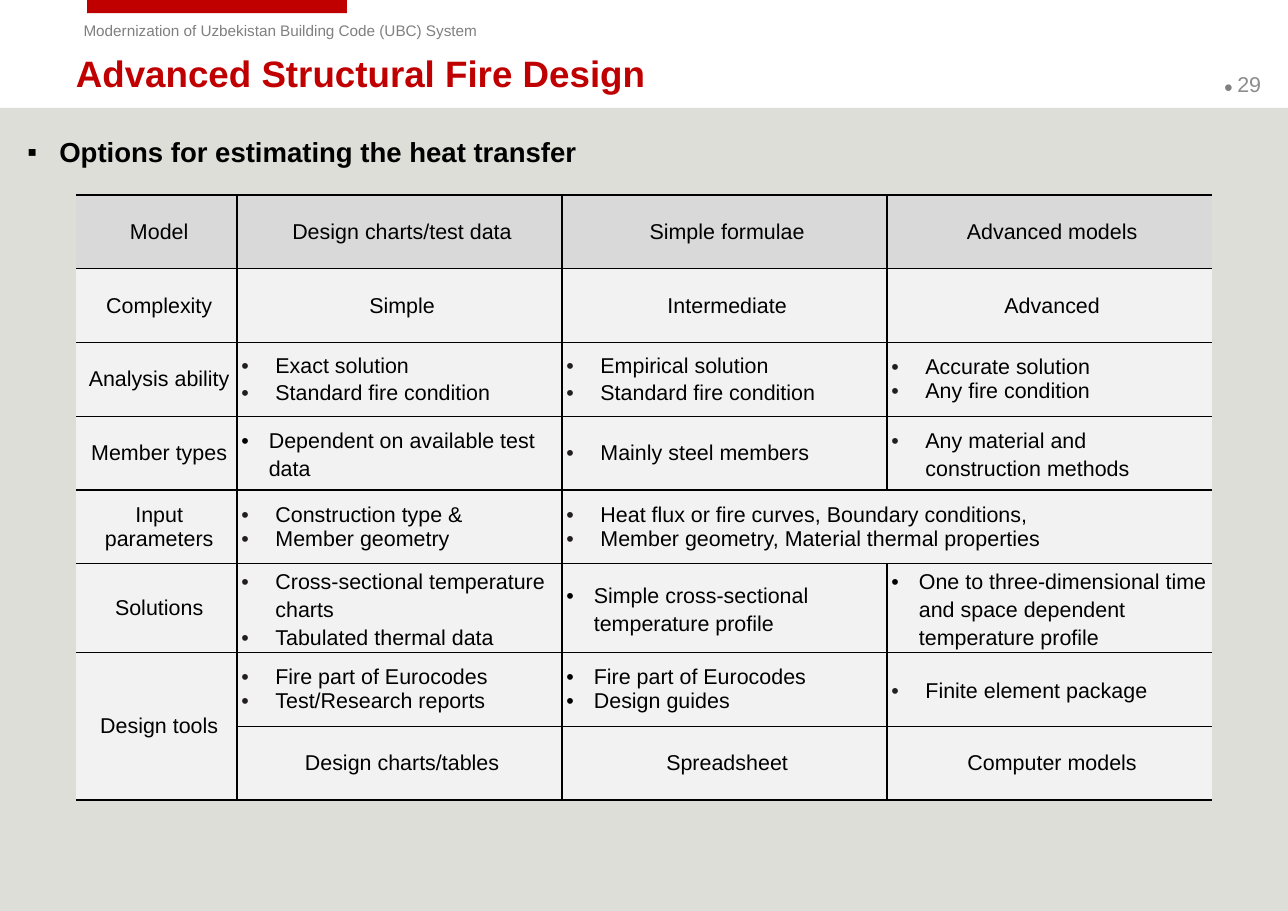
"""Builds the slide on options for estimating heat transfer in structural fire design."""
from dataclasses import dataclass
from typing import NamedTuple

import lxml.etree
import pptx
import pptx.dml.color
import pptx.enum.shapes
import pptx.enum.text
import pptx.oxml.ns
import pptx.util

Inches, Pt = pptx.util.Inches, pptx.util.Pt
qn = pptx.oxml.ns.qn
PP_ALIGN = pptx.enum.text.PP_ALIGN
MIDDLE = pptx.enum.text.MSO_ANCHOR.MIDDLE


@dataclass(frozen=True)
class Theme:
    font: str = "Arial"
    red: str = "C00000"
    black: str = "000000"
    grey: str = "808080"
    number: str = "8C8C8C"
    panel: str = "DEDED8"
    head_fill: str = "D9D9D9"
    cell_fill: str = "F2F2F2"
    soft_bullet: str = "231F20"
    title_pt: int = 24
    topic_pt: int = 18
    cell_pt: int = 14
    small_pt: int = 10
    rule_pt: int = 1


class Bullets(NamedTuple):
    lines: list
    spacing: tuple = (1, 1)
    indent: float = 0.31
    colour: str = Theme.soft_bullet


def narrow(lines, spacing=(1, 1)):
    return Bullets(lines, spacing, 0.25, Theme.black)


T = Theme()
HEADER = "Modernization of Uzbekistan Building Code (UBC) System"
TITLE = "Advanced Structural Fire Design"
TOPIC = "Options for estimating the heat transfer"
PAGE = "29"
LOOSE, MIXED = (1.15, 1.15), (1, 1.15)
ROWS = [
    ["Model", "Design charts/test data", "Simple formulae", "Advanced models"],
    ["Complexity", "Simple", "Intermediate", "Advanced"],
    ["Analysis ability",
     Bullets(["Exact solution", "Standard fire condition"], MIXED),
     Bullets(["Empirical solution", "Standard fire condition"], MIXED),
     Bullets(["Accurate solution", "Any fire condition"])],
    ["Member types",
     narrow(["Dependent on available test data"], LOOSE),
     Bullets(["Mainly steel members"]),
     Bullets(["Any material and construction methods"], LOOSE)],
    ["Input parameters",
     Bullets(["Construction type &", "Member geometry"]),
     Bullets(["Heat flux or fire curves, Boundary conditions,",
              "Member geometry, Material thermal properties"]),
     None],
    ["Solutions",
     Bullets(["Cross-sectional temperature charts", "Tabulated thermal data"], LOOSE),
     narrow(["Simple cross-sectional temperature profile"], LOOSE),
     narrow(["One to three-dimensional time and space dependent temperature profile"], LOOSE)],
    ["Design tools",
     Bullets(["Fire part of Eurocodes", "Test/Research reports"]),
     narrow(["Fire part of Eurocodes", "Design guides"]),
     Bullets(["Finite element package"], LOOSE)],
    [None, "Design charts/tables", "Spreadsheet", "Computer models"],
]
MERGES = [((4, 2), (4, 3)), ((6, 0), (7, 0))]
COL_WIDTHS = [1.46, 2.95, 2.95, 2.95]
ROW_HEIGHT = 0.67


def rgb(colour):
    return pptx.dml.color.RGBColor.from_string(colour)


def style(font, size, colour, bold=False):
    font.name, font.size, font.bold = T.font, Pt(size), bold
    font.color.rgb = rgb(colour)


def add_bar(s, box, colour):
    sp = s.shapes.add_shape(pptx.enum.shapes.MSO_SHAPE.RECTANGLE, *map(Inches, box))
    sp.shadow.inherit = False
    sp.fill.solid()
    sp.fill.fore_color.rgb = rgb(colour)
    sp.line.fill.background()


def add_text(s, box, runs, anchor=pptx.enum.text.MSO_ANCHOR.TOP):
    tf = s.shapes.add_textbox(*map(Inches, box)).text_frame
    tf.word_wrap = True
    tf.vertical_anchor = anchor
    p = tf.paragraphs[0]
    for text, size, colour, bold in runs:
        r = p.add_run()
        r.text = text
        style(r.font, size, colour, bold)
    return p


def set_bullet(p, char, indent, colour):
    pPr = p._p.get_or_add_pPr()
    pPr.set("marL", str(Inches(indent)))
    pPr.set("indent", str(-Inches(indent)))
    clr = lxml.etree.SubElement(pPr, qn("a:buClr"))
    lxml.etree.SubElement(clr, qn("a:srgbClr"), val=colour)
    lxml.etree.SubElement(pPr, qn("a:buFont"), typeface=T.font)
    lxml.etree.SubElement(pPr, qn("a:buChar"), char=char)


def set_borders(cell, col):
    last = col + max(cell.span_width, 1) == len(COL_WIDTHS)
    shown = {"L": col > 0, "R": not last, "T": True, "B": True}
    if cell.is_spanned:
        shown = {"B": True}
    tcPr = cell._tc.get_or_add_tcPr()
    for side, visible in shown.items():
        ln = lxml.etree.SubElement(tcPr, qn(f"a:ln{side}"), w=str(Pt(T.rule_pt)))
        if visible:
            fill = lxml.etree.SubElement(ln, qn("a:solidFill"))
            lxml.etree.SubElement(fill, qn("a:srgbClr"), val=T.black)
        else:
            lxml.etree.SubElement(ln, qn("a:noFill"))


def fill_cell(cell, content):
    cell.vertical_anchor = MIDDLE
    cell.margin_left = cell.margin_right = Inches(0.04)
    cell.margin_top = cell.margin_bottom = 0
    if content is None:
        return
    tf = cell.text_frame
    bulleted = isinstance(content, Bullets)
    tf.text = "\n".join(content.lines) if bulleted else content
    for i, p in enumerate(tf.paragraphs):
        if bulleted:
            set_bullet(p, "•", content.indent, content.colour)
            p.line_spacing = float(content.spacing[i])
        else:
            p.alignment = PP_ALIGN.CENTER
            p._p.get_or_add_pPr().set("marL", str(Inches(0.05)))
        style(p.runs[0].font, T.cell_pt, T.black)


def add_options_table(s):
    box = (0.69, 1.77, sum(COL_WIDTHS), ROW_HEIGHT * len(ROWS))
    table = s.shapes.add_table(len(ROWS), len(COL_WIDTHS), *map(Inches, box)).table
    table.first_row = table.horz_banding = False
    for column, width in zip(table.columns, COL_WIDTHS):
        column.width = Inches(width)
    for first, final in MERGES:
        table.cell(*first).merge(table.cell(*final))
    for i, row in enumerate(ROWS):
        table.rows[i].height = Inches(ROW_HEIGHT)
        for j, content in enumerate(row):
            cell = table.cell(i, j)
            fill_cell(cell, content)
            set_borders(cell, j)
            cell.fill.solid()
            cell.fill.fore_color.rgb = rgb(T.cell_fill if i else T.head_fill)


def main():
    prs = pptx.Presentation()
    prs.slide_width, prs.slide_height = Inches(11.69), Inches(8.27)
    s = prs.slides.add_slide(prs.slide_layouts[6])
    add_bar(s, (0, 0.98, 11.69, 7.29), T.panel)
    add_bar(s, (0.79, 0, 2.36, 0.12), T.red)
    add_text(s, (0.66, 0.14, 4.68, 0.27), [(HEADER, T.small_pt, T.grey, False)])
    add_text(s, (11.01, 0.54, 0.69, 0.44),
             [("● ", T.small_pt, T.grey, False), (PAGE, T.cell_pt, T.number, False)], MIDDLE)
    p = add_text(s, (0.15, 1.18, 11.38, 0.5), [(TOPIC, T.topic_pt, T.black, True)])
    set_bullet(p, "▪", 0.29, T.black)
    add_text(s, (0.59, 0.46, 10.42, 0.4), [(TITLE, T.title_pt, T.red, True)], MIDDLE)
    add_options_table(s)
    prs.save("out.pptx")


if __name__ == "__main__":
    main()
